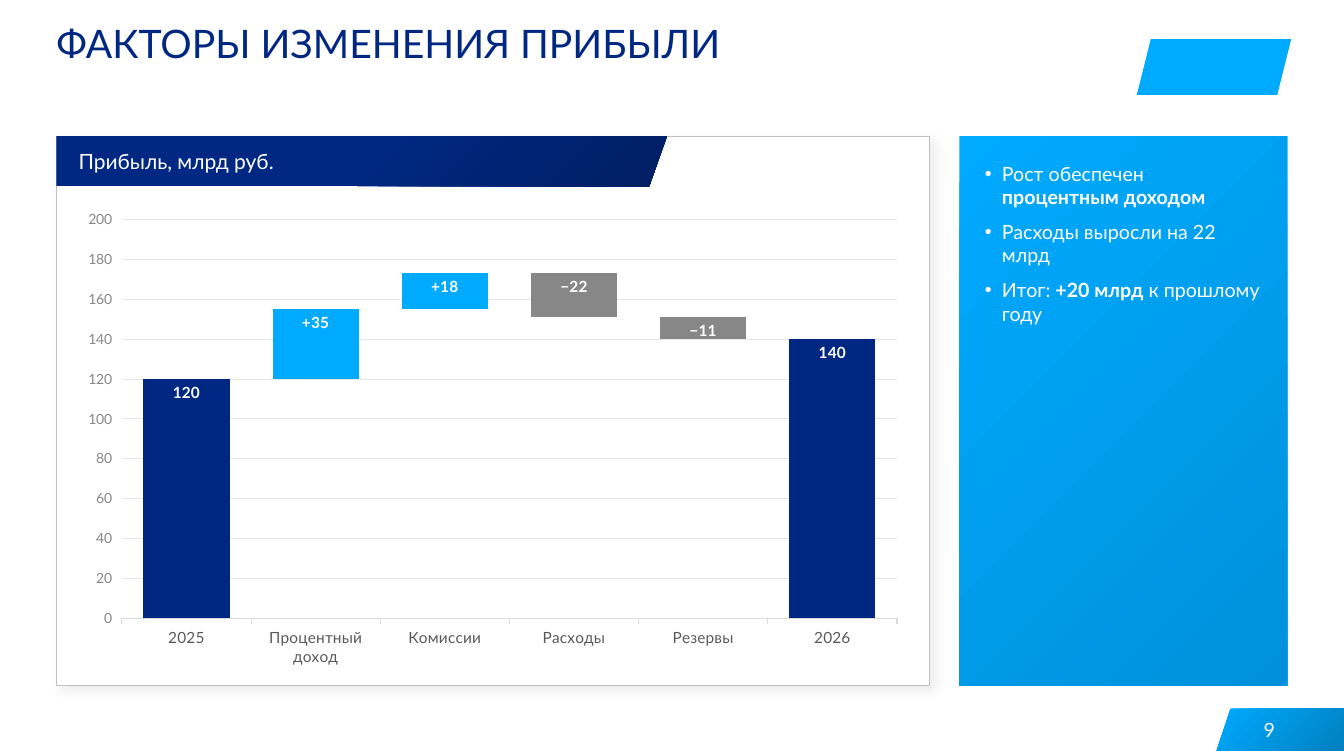
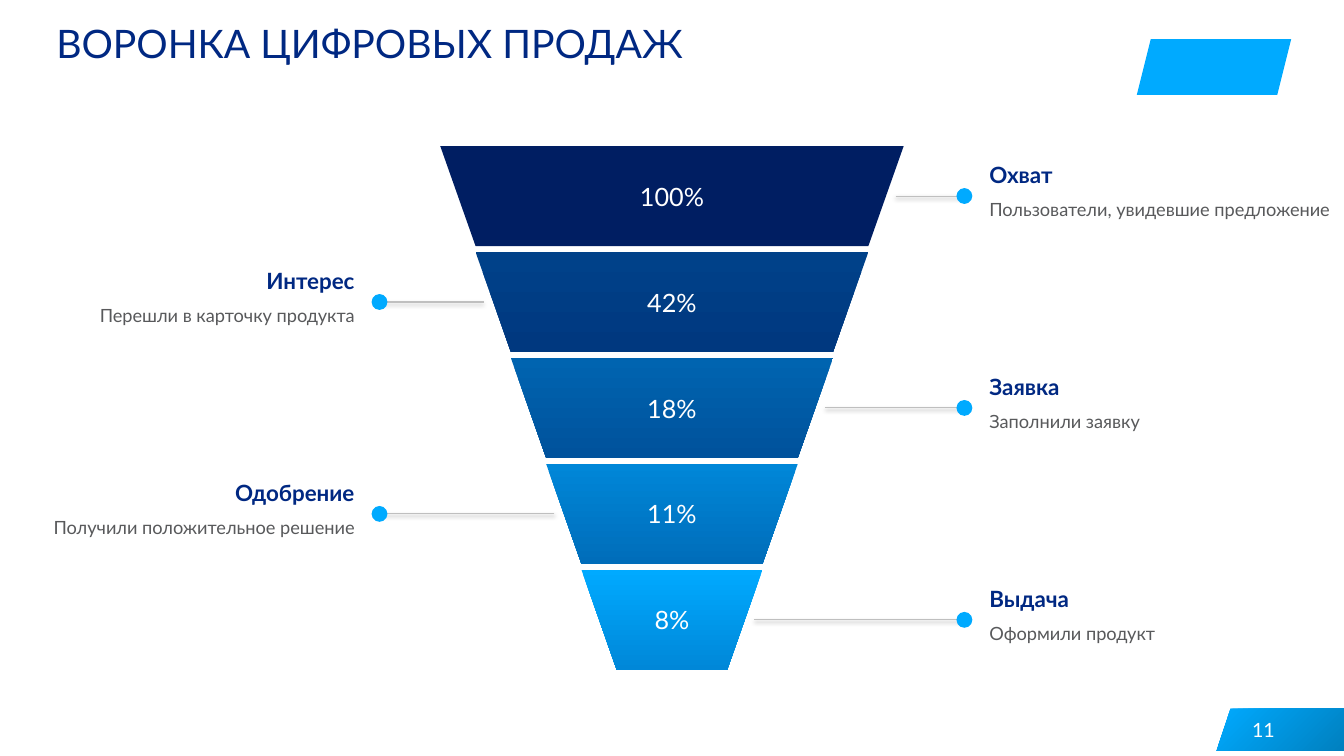
from lxml.etree import SubElement
from pptx import Presentation
from pptx.chart.data import CategoryChartData
from pptx.dml.color import RGBColor
from pptx.enum.chart import XL_CHART_TYPE, XL_LABEL_POSITION, XL_TICK_MARK
from pptx.enum.shapes import MSO_CONNECTOR, MSO_SHAPE
from pptx.enum.text import MSO_ANCHOR, MSO_AUTO_SIZE, PP_ALIGN
from pptx.oxml.ns import qn
from pptx.util import Cm, Pt

FONT = "Lato"
HUES = {
    "navy": "002882", "deep": "001E62", "sky": "00AAFF", "azure": "0091DA",
    "teal": "0080BF", "white": "FFFFFF", "text": "58595B", "gray": "878787",
    "edge": "BFBFBF", "axis": "D9D9D9", "grid": "E6E6E6", "black": "000000",
    "top": "004189", "high": "00387F", "mid": "0064B0", "low": "00529C",
    "blue": "0087D8", "base": "006DBA",
}
WIDE, TALL = 33.87, 19.05
LEFT, TOP, DEEP = 1.42, 3.43, 13.84  # content area, cm


def hue(name):
    return RGBColor.from_string(HUES[name])


def place(shape, box):
    shape.left, shape.top, shape.width, shape.height = map(Cm, box)


def cast(shape, shade=None):
    """Set the shadow: (opacity %, blur pt, distance pt, angle) or none."""
    props = shape.element.spPr
    effects = SubElement(props, qn("a:effectLst"))
    if shade:
        alpha, blur, far, angle = shade
        outer = SubElement(effects, qn("a:outerShdw"), blurRad=str(Pt(blur)),
                           dist=str(Pt(far)), dir=str(angle * 60000),
                           algn="tl", rotWithShape="0")
        color = SubElement(outer, qn("a:srgbClr"), val=HUES["black"])
        SubElement(color, qn("a:alpha"), val=str(alpha * 1000))


def paint(shape, fill, edge=None, angle=45, start=0, shade=None):
    """Fill with one colour name or a pair of them for a gradient."""
    if isinstance(fill, str):
        shape.fill.solid()
        shape.fill.fore_color.rgb = hue(fill)
    else:
        shape.fill.gradient()
        shape.fill.gradient_angle = 360 - angle
        for stop, name, spot in zip(shape.fill.gradient_stops, fill, (start, 1)):
            stop.color.rgb = hue(name)
            stop.position = spot
    if edge:
        shape.line.color.rgb = hue(edge)
        shape.line.width = Pt(0.5)
    else:
        shape.line.fill.background()
    cast(shape, shade)


def style(font, size, color, bold=False):
    font.name, font.size, font.bold = FONT, Pt(size), bold
    font.color.rgb = hue(color)


def frame(shape, anchor=MSO_ANCHOR.TOP, pad=0):
    body = shape.text_frame
    body.word_wrap = True
    body.auto_size = MSO_AUTO_SIZE.NONE
    body.vertical_anchor = anchor
    body.margin_left = body.margin_right = Cm(pad)
    body.margin_top = body.margin_bottom = 0
    return body


def write(shape, text, size, color, bold=False, align=PP_ALIGN.LEFT,
          anchor=MSO_ANCHOR.MIDDLE, pad=0):
    body = frame(shape, anchor, pad)
    body.text = text
    para = body.paragraphs[0]
    para.alignment = align
    style(para.runs[0].font, size, color, bold)


def label(slide, box, *args, **extra):
    write(slide.shapes.add_textbox(*map(Cm, box)), *args, **extra)


def block(slide, kind, box, fill, **extra):
    shape = slide.shapes.add_shape(kind, *map(Cm, box))
    paint(shape, fill, **extra)
    return shape


def shear(slide, points, fill, **extra):
    """Draw a closed outline through points given in cm."""
    first, *rest = [(Cm(x), Cm(y)) for x, y in points]
    pen = slide.shapes.build_freeform(*first, scale=1.0)
    pen.add_line_segments(rest, close=True)
    shape = pen.convert_to_shape()
    paint(shape, fill, **extra)
    return shape


def brand(deck, slide):
    """Set the title place, page tab and logo stand-in on the master."""
    master = deck.slide_master
    place(master.placeholders[0], (LEFT, 0.48, 26.62, 2.39))
    tab = shear(slide, [(31.01, 17.86), (WIDE, 17.86), (WIDE, 18.92),
                        (30.66, 18.92)], ("sky", "teal"))
    logo = block(slide, MSO_SHAPE.PARALLELOGRAM, (28.65, 0.99, 3.89, 1.4), "sky")
    for num, shape in enumerate((tab, logo), 20):
        shape.element.nvSpPr.cNvPr.set("id", str(num))
        master.shapes.element.append(shape.element)


def head(slide, title, page):
    write(slide.shapes.title, title, 28, "navy", anchor=MSO_ANCHOR.TOP)
    label(slide, (30.96, 17.88, 1.17, 1.02), page, 14, "white",
          align=PP_ALIGN.RIGHT)


def bullets(shape, items):
    """Each item is a list of (text, bold) parts."""
    body = frame(shape, pad=0.64)
    body.margin_top = Cm(0.64)
    for num, parts in enumerate(items):
        para = body.add_paragraph() if num else body.paragraphs[0]
        props = para._p.get_or_add_pPr()
        props.set("marL", str(Cm(0.43)))
        props.set("indent", str(-Cm(0.43)))
        color = SubElement(props, qn("a:buClr"))
        SubElement(color, qn("a:srgbClr"), val=HUES["white"])
        SubElement(props, qn("a:buChar"), char="•")
        para.space_before = Pt(8 if num else 0)
        for text, bold in parts:
            run = para.add_run()
            run.text = text
            style(run.font, 14, "white", bold)


def bridge(slide, box, steps):
    """Waterfall chart; each step is (name, hidden base, value, label, colour)."""
    names, bases, values, tags, colors = zip(*steps)
    data = CategoryChartData()
    data.categories = names
    data.add_series("База", bases)
    data.add_series("Прибыль", values)
    chart = slide.shapes.add_chart(XL_CHART_TYPE.COLUMN_STACKED,
                                   *map(Cm, box), data).chart
    chart.has_legend = chart.has_title = False
    style(chart.font, 11, "text")
    plot = chart.plots[0]
    plot.gap_width, plot.overlap = 50, 100
    plot.vary_by_categories = False
    base, bars = plot.series
    base.format.fill.background()
    bars.format.fill.solid()
    bars.format.fill.fore_color.rgb = hue("navy")
    for num, (tag, color) in enumerate(zip(tags, colors)):
        point = bars.points[num]
        point.format.fill.solid()
        point.format.fill.fore_color.rgb = hue(color)
        note = point.data_label
        note.text_frame.text = tag
        style(note.text_frame.paragraphs[0].runs[0].font, 11, "white", True)
        note.position = XL_LABEL_POSITION.INSIDE_END
    # Axes
    cats, vals = chart.category_axis, chart.value_axis
    style(cats.tick_labels.font, 11, "text")
    cats.major_tick_mark = XL_TICK_MARK.OUTSIDE
    cats.format.line.color.rgb = hue("axis")
    cats.format.line.width = Pt(0.75)
    style(vals.tick_labels.font, 10, "gray")
    vals.tick_labels.number_format = "0"
    vals.tick_labels.number_format_is_linked = False
    vals.minimum_scale, vals.maximum_scale, vals.major_unit = 0, 200, 20
    vals.format.line.fill.background()
    vals.major_gridlines.format.line.color.rgb = hue("grid")
    vals.major_gridlines.format.line.width = Pt(0.5)


def profit(slide):
    head(slide, "ФАКТОРЫ ИЗМЕНЕНИЯ ПРИБЫЛИ", "9")
    # Chart card
    block(slide, MSO_SHAPE.RECTANGLE, (LEFT, TOP, 22, DEEP), "white",
          edge="edge", shade=(8, 9, 5, 45))
    foot = TOP + 1.27
    band = shear(slide, [(LEFT, TOP), (16.81, TOP), (16.36, foot), (LEFT, foot)],
                 ("navy", "deep"), start=0.5)
    write(band, "Прибыль, млрд руб.", 15, "white", pad=0.56)
    bridge(slide, (1.8, 5.08, 21.23, 11.94), [
        ("2025", 0, 120, "120", "navy"),
        ("Процентный доход", 120, 35, "+35", "sky"),
        ("Комиссии", 155, 18, "+18", "sky"),
        ("Расходы", 151, 22, "−22", "gray"),
        ("Резервы", 140, 11, "−11", "gray"),
        ("2026", 0, 140, "140", "navy"),
    ])
    # Side panel
    side = slide.placeholders[1]
    place(side, (24.18, TOP, 8.26, DEEP))
    paint(side, ("sky", "azure"))
    bullets(side, [
        [("Рост обеспечен ", False), ("процентным доходом", True)],
        [("Расходы выросли на 22 млрд", False)],
        [("Итог: ", False), ("+20 млрд", True), (" к прошлому году", False)],
    ])


def stage(slide, num, share, name, text, fill):
    """One funnel tier with its callout, right and left in turn."""
    mid, high, wide, step = WIDE / 2, 2.52, 11.68, 1.78
    top = 3.68 + num * (high + 0.15)
    half, less = (wide - num * step) / 2, (wide - (num + 1) * step) / 2
    tier = shear(slide, [(mid - half, top), (mid + half, top),
                         (mid + less, top + high), (mid - less, top + high)],
                 fill, angle=90)
    write(tier, share, 18, "white", align=PP_ALIGN.CENTER)
    # Leader line and dot
    sign = -1 if num % 2 else 1
    near, far = mid + sign * ((half + less) / 2 + 0.24), mid + sign * 7.37
    level = top + high / 2
    line = slide.shapes.add_connector(MSO_CONNECTOR.STRAIGHT,
                                      *map(Cm, (near, level, far, level)))
    line.line.color.rgb = hue("edge")
    line.line.width = Pt(0.75)
    cast(line, (38, 3.1, 1.6, 90))
    block(slide, MSO_SHAPE.OVAL, (far - 0.2, level - 0.2, 0.4, 0.4), "sky")
    # Caption
    span = 8.7
    left = mid + 8 if sign > 0 else mid - 8 - span
    align = PP_ALIGN.LEFT if sign > 0 else PP_ALIGN.RIGHT
    label(slide, (left, top + 0.05, span, 1.02), name, 16, "navy", True,
          align, MSO_ANCHOR.BOTTOM)
    label(slide, (left, top + 1.32, span, 1.19), text, 13, "text", False,
          align, MSO_ANCHOR.TOP)


def funnel(slide):
    head(slide, "ВОРОНКА ЦИФРОВЫХ ПРОДАЖ", "11")
    stages = [
        ("100%", "Охват", "Пользователи, увидевшие предложение", "deep"),
        ("42%", "Интерес", "Перешли в карточку продукта", ("top", "high")),
        ("18%", "Заявка", "Заполнили заявку", ("mid", "low")),
        ("11%", "Одобрение", "Получили положительное решение", ("blue", "base")),
        ("8%", "Выдача", "Оформили продукт", ("sky", "blue")),
    ]
    for num, parts in enumerate(stages):
        stage(slide, num, *parts)


def main():
    deck = Presentation()
    deck.slide_width, deck.slide_height = Cm(WIDE), Cm(TALL)
    first = deck.slides.add_slide(deck.slide_layouts[1])
    brand(deck, first)
    profit(first)
    funnel(deck.slides.add_slide(deck.slide_layouts[5]))
    deck.save("out.pptx")


if __name__ == "__main__":
    main()
